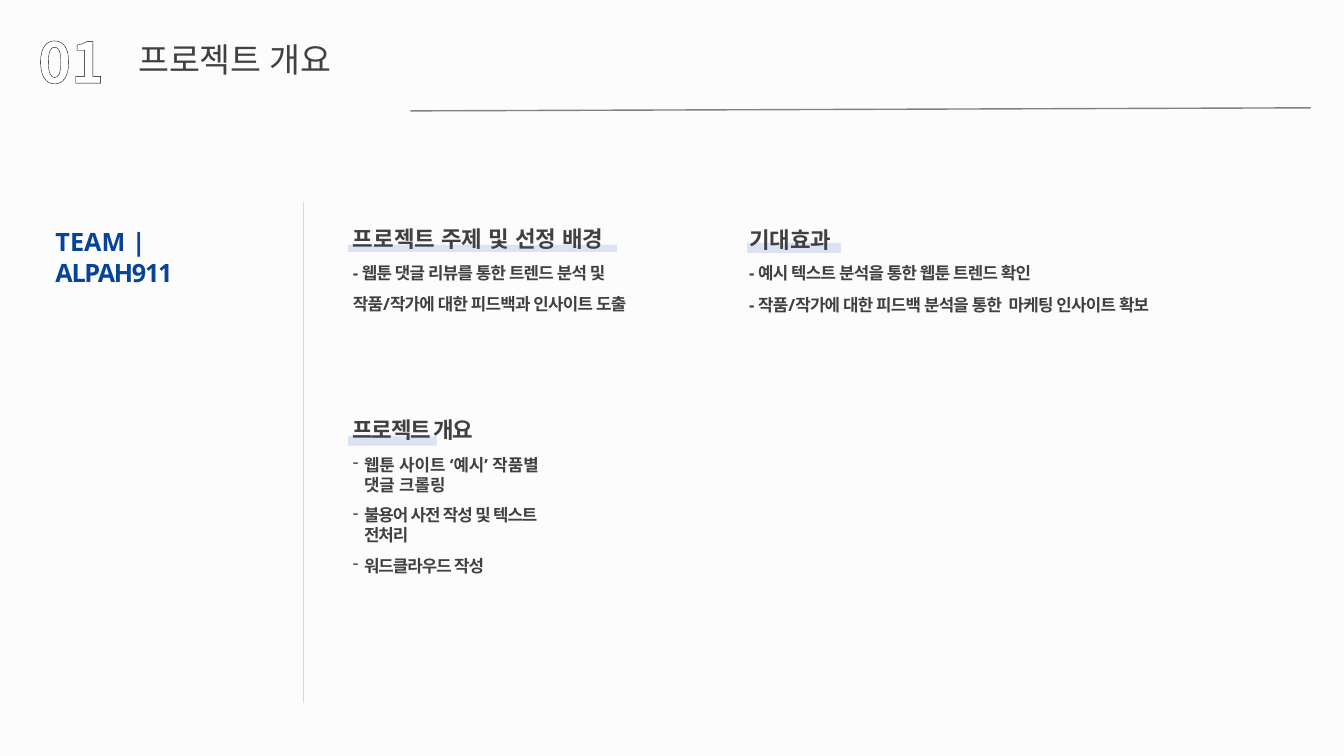
import pptx
import pptx.util
import pptx.dml.color
import pptx.enum.shapes
import pptx.enum.text
import pptx.oxml
import pptx.oxml.ns

Inches = pptx.util.Inches
Pt = pptx.util.Pt
qn = pptx.oxml.ns.qn
NS = pptx.oxml.ns.nsdecls("a")


def tint(code):
    return pptx.dml.color.RGBColor.from_string(code)


def assign(obj, vals):
    for key, val in vals.items():
        setattr(obj, key, val)


def lens(*nums):
    return [Inches(num) for num in nums]


class Page:
    dark, blue, pale = "404040", "064499", "DAE2F3"
    body, head = "Open Sans", "Noto Sans CJK KR"

    def __init__(self, deck):
        self.slide = deck.slides.add_slide(deck.slide_layouts[5])
        self.shapes = self.slide.shapes
        fill = self.slide.background.fill
        fill.solid()
        fill.fore_color.rgb = tint("FCFCFC")

    def frame(self, shape, ins, wrap=True):
        frame = shape.text_frame
        sides = ("margin_left", "margin_top", "margin_right", "margin_bottom")
        assign(frame, dict(zip(sides, lens(*ins))))
        assign(frame, {
            "word_wrap": wrap,
            "vertical_anchor": pptx.enum.text.MSO_ANCHOR.TOP,
            "auto_size": pptx.enum.text.MSO_AUTO_SIZE.SHAPE_TO_FIT_TEXT,
        })
        return frame

    def run(self, para, text, size, font, color, bold=True, gap=0):
        run = para.add_run()
        run.text = text
        assign(run.font, {"size": Pt(size), "bold": bold, "name": font})
        run.font.color.rgb = tint(color)
        props = run.font._element
        props.append(pptx.oxml.parse_xml(f'<a:ea {NS} typeface="{font}"/>'))
        if gap:
            props.set("spc", str(round(gap * 100)))
        return props

    def title(self, text, box):
        shape = self.shapes.title
        assign(shape, dict(zip(("left", "top", "width", "height"), lens(*box))))
        para = self.frame(shape, (0.1, 0.05, 0.1, 0.05), False).paragraphs[0]
        para.alignment = pptx.enum.text.PP_ALIGN.LEFT
        self.run(para, text, 24, self.head, self.dark, False)

    def number(self, text, box):
        shape = self.shapes.add_textbox(*lens(*box))
        para = self.frame(shape, (0.1, 0.05, 0.1, 0.05)).paragraphs[0]
        props = self.run(para, text, 40, self.head, "4A452A")
        props.remove(props.find(qn("a:solidFill")))
        props.insert(0, pptx.oxml.parse_xml(
            f'<a:pattFill {NS} prst="dkUpDiag"><a:fgClr><a:srgbClr val="4A452A"/></a:fgClr>'
            '<a:bgClr><a:srgbClr val="FFFFFF"/></a:bgClr></a:pattFill>'))
        props.insert(0, pptx.oxml.parse_xml(
            f'<a:ln {NS} w="15875"><a:solidFill><a:srgbClr val="000000"/></a:solidFill></a:ln>'))

    def text(self, box, rows, size=12, color=dark, line=None, before=(1,),
             top=0.01, right=0, dash=False):
        shape = self.shapes.add_textbox(*lens(*box))
        frame = self.frame(shape, (0, top, right, 0))
        for i, row in enumerate(rows):
            para = frame.add_paragraph() if i else frame.paragraphs[0]
            space = before[min(i, len(before) - 1)]
            assign(para, {"line_spacing": line, "space_before": Pt(space)})
            props = para._p.get_or_add_pPr()
            props.set("marL", str(Inches(0.12 if dash else 0.01)))
            props.set("indent", str(Inches(-0.11 if dash else 0)))
            if dash:
                props.append(pptx.oxml.parse_xml(f'<a:buChar {NS} char="-"/>'))
            for words, gap in row:
                self.run(para, words, size, self.body, color, gap=gap)

    def bar(self, box):
        kind = pptx.enum.shapes.MSO_SHAPE.RECTANGLE
        shape = self.shapes.add_shape(kind, *lens(*box))
        shape.shadow.inherit = False
        shape.fill.solid()
        shape.fill.fore_color.rgb = tint(self.pale)
        shape.line.fill.background()

    def rule(self, ends, color):
        kind = pptx.enum.shapes.MSO_CONNECTOR.STRAIGHT
        line = self.shapes.add_connector(kind, *lens(*ends))
        line.line.width = Pt(1)
        line.line.color.rgb = tint(color)
        line._element.spPr.append(pptx.oxml.parse_xml(f"<a:effectLst {NS}/>"))


def main():
    deck = pptx.Presentation()
    assign(deck, {"slide_width": Inches(13.33), "slide_height": Inches(7.5)})
    page = Page(deck)
    page.title("프로젝트 개요", (1.27, 0.34, 2.39, 0.5))
    page.number("01", (0.28, 0.22, 1.27, 0.77))
    page.rule((4.07, 1.1, 13, 1.07), "808080")
    page.rule((3.01, 2, 3.01, 6.97), "D9D9D9")
    page.text((0.54, 2.24, 2.11, 0.33), [[("TEAM | ", 0), ("ALPAH911", -0.9)]],
              size=18, color=page.blue, right=0.6)

    heads = [
        ("프로젝트 주제 및 선정 배경", 0.1, (3.49, 2.22, 2.97, 0.28), (3.45, 2.43, 2.67, 0.07)),
        ("기대효과", 0.1, (7.42, 2.23, 2.97, 0.28), (7.41, 2.41, 0.93, 0.1)),
        ("프로젝트 개요", -1, (3.49, 4.12, 1.68, 0.28), (3.45, 4.33, 0.88, 0.09)),
    ]
    for words, gap, box, mark in heads:
        page.bar(mark)
        page.text(box, [[(words, gap)]], size=16, before=(0.9,))

    page.text((3.49, 2.5, 3.07, 0.59),
              [[("- 웹툰 댓글 리뷰를 통한 트렌드 분석 및 작품/작가에 대한 피드백과 인사이트 도출", -0.5)]],
              line=1.5, right=0.22)
    page.text((7.42, 2.5, 4.33, 0.6),
              [[("- 예시 텍스트 분석을 통한 웹툰 트렌드 확인", -0.5)],
               [("- 작품/작가에 대한 피드백 분석을 통한  마케팅 인사이트 확보", -0.5)]],
              line=1.5)
    page.text((3.49, 4.4, 2.18, 1.32),
              [[("웹툰 사이트 ‘예시’ 작품별 댓글 크롤링", 0)],
               [("불용어 사전 작성 및 텍스트 전처리", -0.7)],
               [("워드클라우드 작성", -0.7)]],
              before=(8.2, 7.2), top=0.11, right=0.2, dash=True)
    deck.save("out.pptx")


if __name__ == "__main__":
    main()
